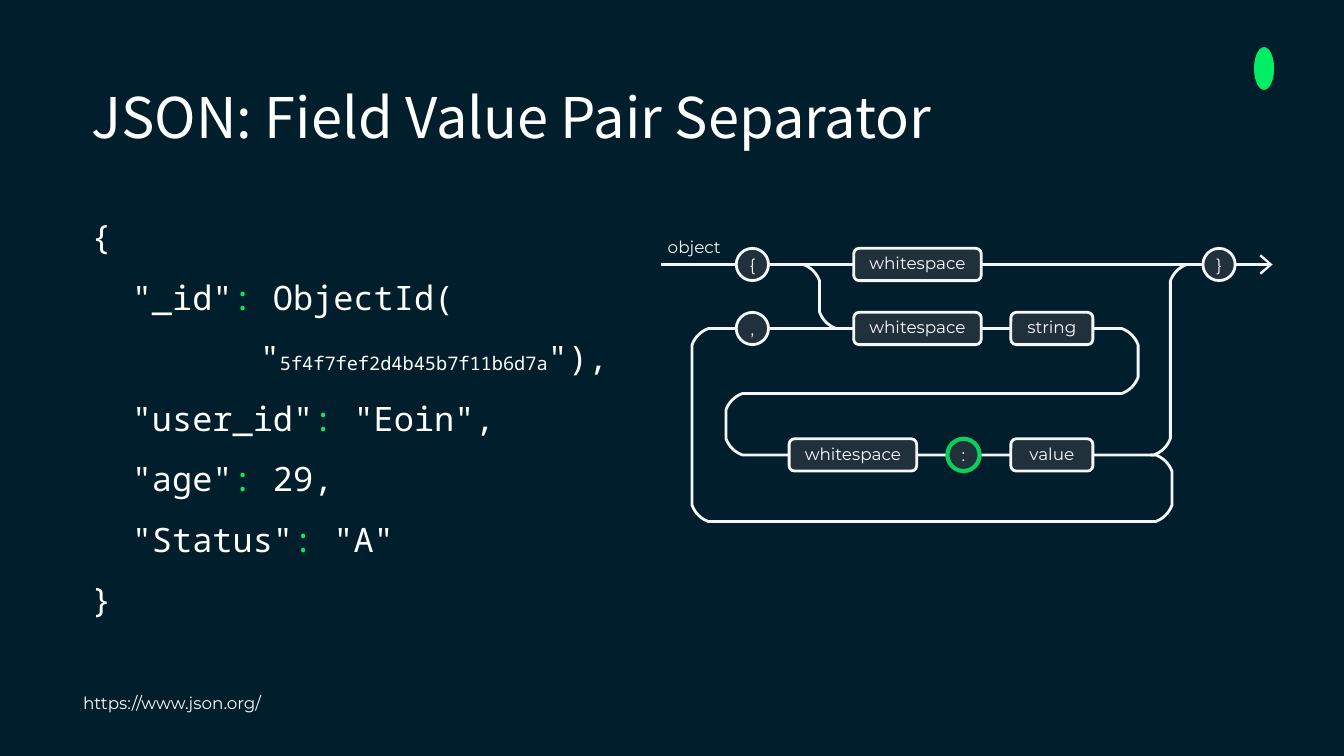
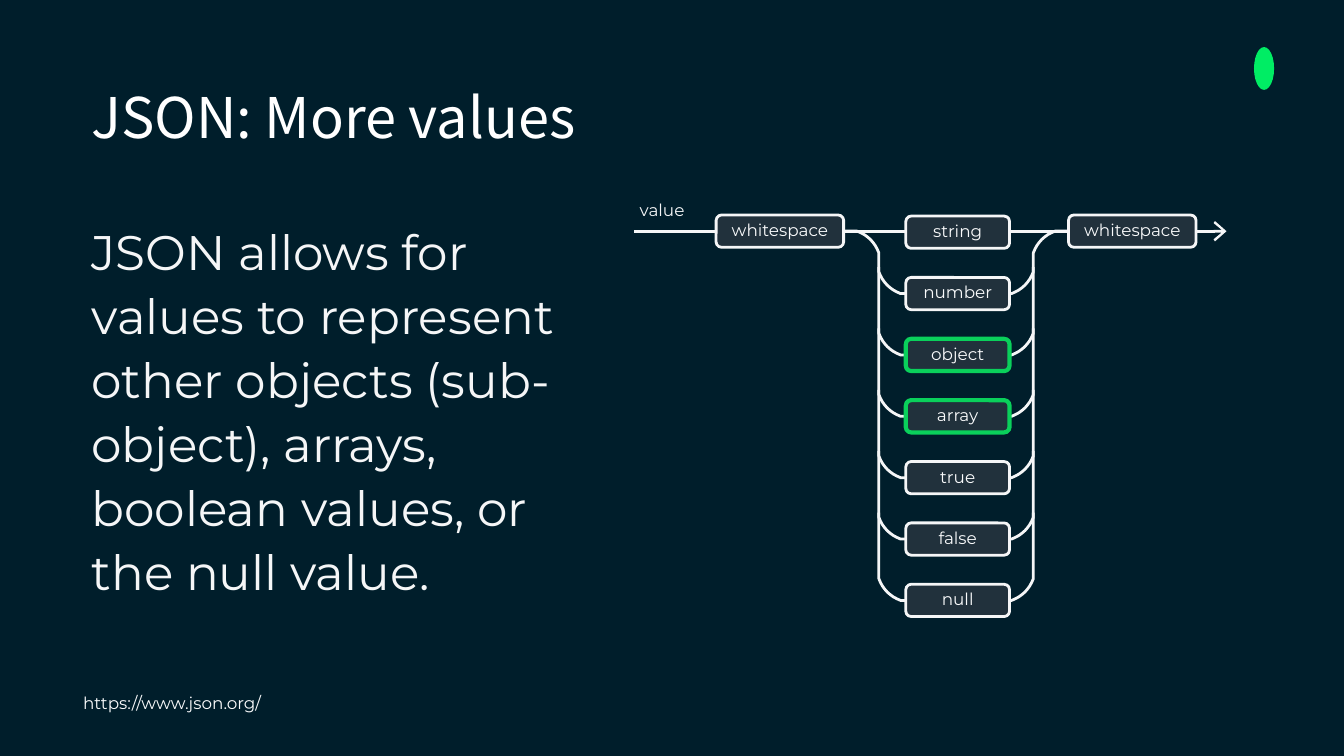
from math import hypot

from pptx import Presentation
from pptx.dml.color import RGBColor
from pptx.enum.shapes import MSO_CONNECTOR, MSO_SHAPE
from pptx.enum.text import MSO_ANCHOR, PP_ALIGN
from pptx.oxml.ns import qn
from pptx.util import Cm, Pt
from lxml.etree import SubElement

COLORS = {
    "night": "001E2B", "slate": "21313C", "white": "FFFFFF", "mist": "F5F6F7",
    "snow": "FAFBFC", "leaf": "00ED64", "green": "0AD05B",
}
SANS, TITLE_FONT, MONO = "Montserrat", "Noto Sans CJK JP", "Noto Sans Mono"

SOURCE = "https://www.json.org/"
TITLE_BOX = (1.73, 1.7, 20.73, 1.27)
BODY_BOX = (1.73, 3.94, 9.91, 7.54)
SOURCE_BOX = (1.57, 12.98, 17.5, 0.56)
BADGE_BOX = (23.7, 0.89, 0.38, 0.81)
NODE_H, WIDE, SHORT, VALUE_W = 0.61, 2.41, 1.55, 1.96

PAIR_TITLE = "JSON: Field Value Pair Separator"
COLON = (":", "leaf", 18)
CODE = [
    (0, [("{", "white", 18)]),
    (0, [('  "_id"', "white", 18), COLON, (" ObjectId(", "white", 18)]),
    (3.18, [('"', "white", 18), ("5f4f7fef2d4b45b7f11b6d7a", "white", 10),
            ('"),', "white", 18)]),
    (0, [('  "user_id"', "white", 18), COLON, (' "Eoin",', "white", 18)]),
    (0, [('  "age"', "white", 18), COLON, (" 29,", "white", 18)]),
    (0, [('  "Status"', "white", 18), COLON, (' "A"', "white", 18)]),
    (0, [("}", "white", 18)]),
]
TOP, MIDDLE, LOW = 5.0, 6.21, 8.6
OBJECT_BOXES = [
    ("whitespace", 17.34, TOP, WIDE), ("whitespace", 17.34, MIDDLE, WIDE),
    ("whitespace", 16.12, LOW, WIDE), ("string", 19.88, MIDDLE, SHORT),
    ("value", 19.88, LOW, SHORT),
]
OBJECT_SIGNS = [
    ("{", 14.22, TOP, False), ("}", 23.04, TOP, False),
    (",", 14.22, MIDDLE, False), (":", 18.21, LOW, True),
]
OBJECT_TRACKS = [
    [(14.91, TOP), (15.49, TOP), (15.49, MIDDLE), (21.51, MIDDLE), (21.51, 7.44),
     (13.72, 7.44), (13.72, LOW), (22.15, LOW), (22.15, 9.86), (13.08, 9.86),
     (13.08, MIDDLE), (16.99, MIDDLE)],
    [(22.58, TOP), (22.12, TOP), (22.12, LOW), (21.74, LOW)],
]

VALUES_TITLE = "JSON: More values"
VALUES_TEXT = ("JSON allows for values to represent other objects (sub-object), "
               "arrays, boolean values, or the null value.")
VALUES = ["string", "number", "object", "array", "true", "false", "null"]
NEW_VALUES = {"object", "array"}
VALUE_LINE, FIRST_VALUE, PITCH = 4.37, 4.39, 1.16
RAIL_LEFT, RAIL_RIGHT, VALUE_X = 16.61, 19.53, 18.1


def color(name):
    return RGBColor.from_string(COLORS[name])


def add_run(p, text, font, size, tint):
    r = p.add_run()
    r.text = text
    r.font.name, r.font.size = font, Pt(size)
    r.font.color.rgb = color(tint)


def set_frame(sp, anchor=MSO_ANCHOR.MIDDLE, bottom=0):
    tf = sp.text_frame
    tf.word_wrap = True
    tf.vertical_anchor = anchor
    tf.margin_left = tf.margin_right = tf.margin_top = 0
    tf.margin_bottom = Cm(bottom)
    return tf


def add_frame(s, box, anchor=MSO_ANCHOR.MIDDLE):
    return set_frame(s.shapes.add_textbox(*map(Cm, box)), anchor)


def add_text(s, box, text, font, size, tint, spacing=1.0, anchor=MSO_ANCHOR.MIDDLE):
    p = add_frame(s, box, anchor).paragraphs[0]
    p.line_spacing = spacing
    add_run(p, text, font, size, tint)


def add_label(s, x, y, text):
    add_text(s, (x, y, 1.07, 0.43), text, SANS, 9, "mist")


def add_code(s):
    tf = add_frame(s, BODY_BOX)
    for i, (indent, runs) in enumerate(CODE):
        p = tf.add_paragraph() if i else tf.paragraphs[0]
        p.line_spacing = 1.5
        if indent:
            pPr = p._p.get_or_add_pPr()
            pPr.set("marL", str(Cm(indent)))
            pPr.set("indent", "0")
        for text, tint, size in runs:
            add_run(p, text, MONO, size, tint)


def add_node(s, kind, text, x, y, w, marked=False):
    sp = s.shapes.add_shape(kind, Cm(x - w / 2), Cm(y - NODE_H / 2), Cm(w), Cm(NODE_H))
    sp.shadow.inherit = False
    sp.fill.solid()
    sp.fill.fore_color.rgb = color("slate")
    sp.line.color.rgb = color("green" if marked else "mist")
    sp.line.width = Pt(2.25 if marked else 1.5)
    boxed = kind == MSO_SHAPE.ROUNDED_RECTANGLE
    p = set_frame(sp, bottom=0.05 if boxed else 0).paragraphs[0]
    p.alignment = PP_ALIGN.CENTER
    add_run(p, text, SANS, 9, "snow" if boxed else "mist")


def add_box(s, text, x, y, w, marked=False):
    add_node(s, MSO_SHAPE.ROUNDED_RECTANGLE, text, x, y, w, marked)


def add_arrow(s, x1, x2, y):
    c = s.shapes.add_connector(MSO_CONNECTOR.STRAIGHT, Cm(x1), Cm(y), Cm(x2), Cm(y))
    c.line.color.rgb = color("mist")
    c.line.width = Pt(1.5)
    SubElement(c.line._get_or_add_ln(), qn("a:tailEnd"), type="arrow", w="lg", len="med")
    SubElement(c._element.spPr, qn("a:effectLst"))


def toward(a, b, distance):
    k = distance / hypot(b[0] - a[0], b[1] - a[1])
    return a[0] + (b[0] - a[0]) * k, a[1] + (b[1] - a[1]) * k


def add_track(s, corners, radius, steps=8):
    points = [corners[0]]
    for before, corner, after in zip(corners, corners[1:], corners[2:]):
        a, b = toward(corner, before, radius), toward(corner, after, radius)
        for i in range(steps + 1):
            t = i / steps
            bend = 1.1 * t * (1 - t)
            u, v = (1 - t) ** 2 + bend / 2, t ** 2 + bend / 2
            m = 1 - u - v
            points.append(tuple(u * a[k] + m * corner[k] + v * b[k] for k in (0, 1)))
    points.append(corners[-1])
    points = [(Cm(x), Cm(y)) for x, y in points]
    builder = s.shapes.build_freeform(*points[0])
    builder.add_line_segments(points[1:], close=False)
    sp = builder.convert_to_shape()
    sp.shadow.inherit = False
    sp.fill.background()
    sp.line.color.rgb = color("mist")
    sp.line.width = Pt(1.5)


def add_slide(prs, title):
    s = prs.slides.add_slide(prs.slide_layouts[6])
    s.background.fill.solid()
    s.background.fill.fore_color.rgb = color("night")
    badge = s.shapes.add_shape(MSO_SHAPE.OVAL, *map(Cm, BADGE_BOX))
    badge.shadow.inherit = False
    badge.fill.solid()
    badge.fill.fore_color.rgb = color("leaf")
    badge.line.fill.background()
    add_text(s, TITLE_BOX, title, TITLE_FONT, 30, "white", 0.9, MSO_ANCHOR.TOP)
    add_text(s, SOURCE_BOX, SOURCE, SANS, 9, "snow", 1.1)
    return s


def add_pair_slide(prs):
    s = add_slide(prs, PAIR_TITLE)
    add_code(s)
    add_arrow(s, 12.5, 24.05, TOP)
    for corners in OBJECT_TRACKS:
        add_track(s, corners, 0.31)
    for box in OBJECT_BOXES:
        add_box(s, *box)
    for text, x, y, marked in OBJECT_SIGNS:
        add_node(s, MSO_SHAPE.OVAL, text, x, y, NODE_H, marked)
    add_label(s, 12.62, 4.45, "object")


def add_values_slide(prs):
    s = add_slide(prs, VALUES_TITLE)
    add_text(s, BODY_BOX, VALUES_TEXT, SANS, 26, "mist", 1.1)
    add_arrow(s, 11.99, 23.18, VALUE_LINE)
    rows = [FIRST_VALUE + i * PITCH for i in range(len(VALUES))]
    for y in rows[1:-1]:
        add_track(s, [(RAIL_LEFT, y - 0.5), (RAIL_LEFT, y),
                      (RAIL_RIGHT, y), (RAIL_RIGHT, y - 0.5)], 0.41)
    add_track(s, [(15.95, VALUE_LINE), (RAIL_LEFT, VALUE_LINE), (RAIL_LEFT, rows[-1]),
                  (RAIL_RIGHT, rows[-1]), (RAIL_RIGHT, VALUE_LINE),
                  (20.19, VALUE_LINE)], 0.41)
    for x in (14.74, 21.4):
        add_box(s, "whitespace", x, VALUE_LINE, WIDE)
    for text, y in zip(VALUES, rows):
        add_box(s, text, VALUE_X, y, VALUE_W, text in NEW_VALUES)
    add_label(s, 12.09, 3.76, "value")


def main():
    prs = Presentation()
    prs.slide_width, prs.slide_height = Cm(25.4), Cm(14.29)
    add_pair_slide(prs)
    add_values_slide(prs)
    prs.save("out.pptx")


if __name__ == "__main__":
    main()
